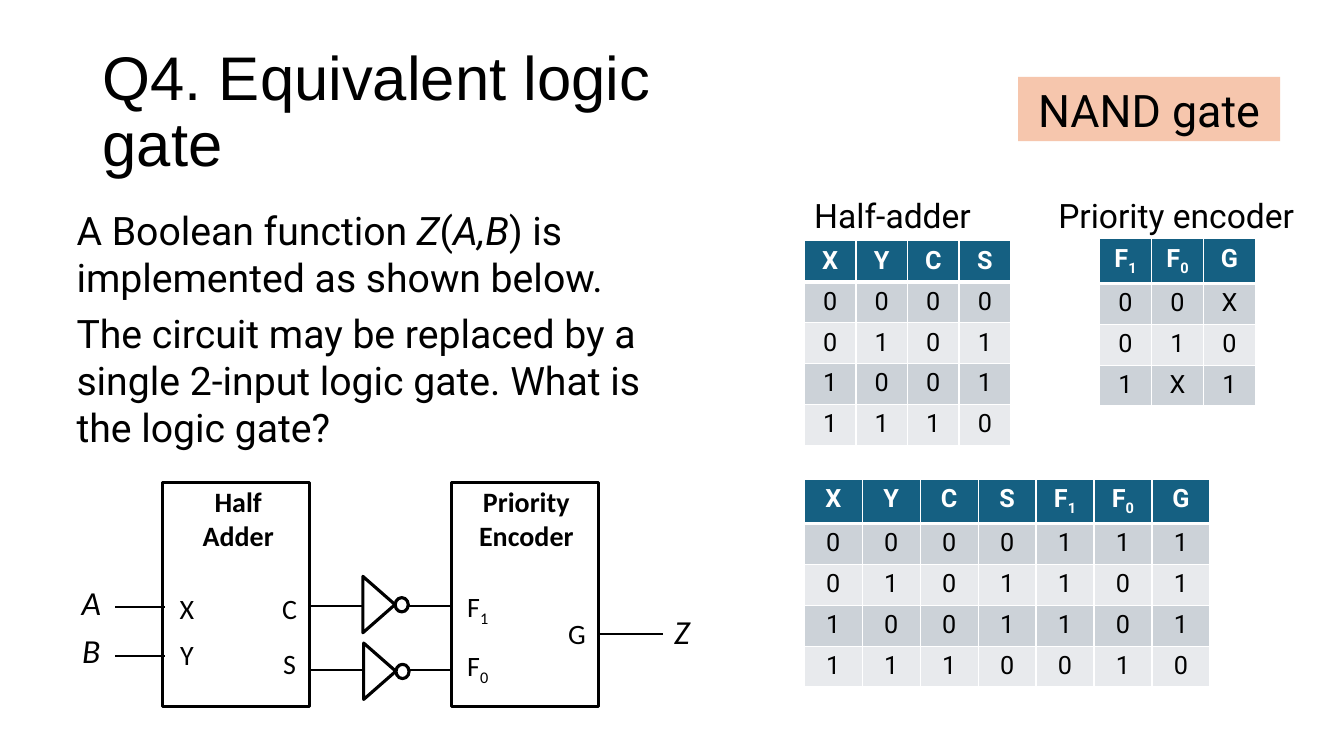
from dataclasses import dataclass

from pptx import Presentation
from pptx.dml.color import RGBColor
from pptx.enum.shapes import MSO_CONNECTOR as Link, MSO_SHAPE as Kind
from pptx.enum.text import MSO_ANCHOR as Anchor, PP_ALIGN as Align
from pptx.oxml import parse_xml
from pptx.oxml.ns import nsdecls
from pptx.util import Cm, Pt


@dataclass(frozen=True)
class Theme:
    ink: str = "000000"
    paper: str = "FFFFFF"
    answer: str = "F6C6AD"
    head: str = "156082"
    bands: tuple = ("CCD2D8", "E8EAED")
    title_font: str = "Arial"
    font: str = "Roboto"
    part_font: str = "Calibri"
    title: int = 44
    big: int = 32
    body: int = 28
    label: int = 24
    pin: int = 20
    cell: int = 18
    edge: float = 2.25
    wire: float = 1.5


T = Theme()

# A paragraph is a string or a list of runs; a run is a string or (text, mark).
F1 = ["F", ("1", "sub")]
F0 = ["F", ("0", "sub")]

QUESTION = [
    ["A Boolean function ", ("Z", "ital"), "(", ("A,B", "ital"),
     ") is implemented as shown below."],
    "The circuit may be replaced by a single 2-input logic gate. "
    "What is the logic gate?",
]
CAPTIONS = [("Half-adder", (20.27, 4.78, 4.72, 1.27)),
            ("Priority encoder", (26.42, 4.78, 6.58, 1.27))]

# left, top, column width, header, rows
TABLES = [
    (20.27, 6.07, 1.3, ["X", "Y", "C", "S"],
     ["0000", "0101", "1001", "1110"]),
    (27.71, 6.02, 1.31, [F1, F0, "G"],
     ["00X", "010", "1X1"]),
    (20.27, 12.07, 1.46, ["X", "Y", "C", "S", F1, F0, "G"],
     ["0000111", "0101101", "1001101", "1110010"]),
]
ROW = 1.03

# Circuit, all in cm
BLOCK_TOP, BLOCK_W, BLOCK_H = 12.17, 3.71, 5.64
ADDER_X, CODER_X = 4.09, 11.38
NAMES = [("Half Adder", (4.24, 12.09, 3.53, 1.9)),
         ("Priority Encoder", (11.13, 12.09, 4.27, 2.77))]
PINS = [  # paragraphs, box, space after in points
    (["X", "Y"], (3.86, 14.78, 1.7, 2.46), 9),
    (["C", "S"], (6.45, 14.78, 1.7, 2.92), 15),
    ([F1, F0], (11, 14.73, 2.08, 2.92), 15),
    (["G"], (13.69, 15.42, 1.7, 1.63), 6),
]
PORTS = [(["A", "B"], (1.4, 14.53, 1.8, 3.1), 6),
         (["Z"], (16.48, 15.27, 1.42, 1.5), 0)]
WIRES = [(2.9, 4.17, 15.29), (2.9, 4.17, 16.54),   # from x, to x, y
         (7.85, 12.09, 15.27), (7.85, 12.09, 16.89),
         (15.09, 16.71, 15.98)]
GATES = [(8.84, 14.83), (8.86, 16.51)]

deck = Presentation()
deck.slide_width, deck.slide_height = Cm(33.87), Cm(19.05)
slide = deck.slides.add_slide(deck.slide_layouts[6])
shapes = slide.shapes


def rgb(code):
    return RGBColor.from_string(code)


def write(frame, paras, size, font=T.font, color=T.ink, bold=False,
          ital=False, align=Align.LEFT, after=0, lead=None):
    """Fill a text frame; after is one gap or a list with one per paragraph."""
    for i, runs in enumerate(paras):
        para = frame.paragraphs[0] if i == 0 else frame.add_paragraph()
        para.alignment = align
        para.space_after = Pt(after[i] if isinstance(after, list) else after)
        if lead:
            para.line_spacing = lead
        for item in [runs] if isinstance(runs, str) else runs:
            words, mark = (item, "") if isinstance(item, str) else item
            run = para.add_run()
            run.text = words
            face = run.font
            face.name, face.size, face.bold = font, Pt(size), bold
            face.italic = ital or mark == "ital"
            face.color.rgb = rgb(color)
            if mark == "sub":
                run._r.get_or_add_rPr().set("baseline", "-25000")


def label(box, paras, size, anchor=Anchor.TOP, **look):
    frame = shapes.add_textbox(*map(Cm, box)).text_frame
    frame.word_wrap = True
    frame.vertical_anchor = anchor
    write(frame, paras, size, **look)


def solid(kind, box, fill=T.paper, edge=True):
    shape = shapes.add_shape(kind, *map(Cm, box))
    shape.shadow.inherit = False
    shape.fill.solid()
    shape.fill.fore_color.rgb = rgb(fill)
    if edge:
        shape.line.color.rgb = rgb(T.ink)
        shape.line.width = Pt(T.edge)
    else:
        shape.line.fill.background()
    return shape


def wire(x1, x2, y):
    line = shapes.add_connector(Link.STRAIGHT, Cm(x1), Cm(y), Cm(x2), Cm(y))
    line.line.color.rgb = rgb(T.ink)
    line.line.width = Pt(T.wire)
    line._element.spPr.append(parse_xml(f"<a:effectLst {nsdecls('a')}/>"))


def invert(x, y):
    """Draw a NOT gate: a triangle pointing right and its bubble."""
    solid(Kind.FLOWCHART_EXTRACT, (x, y, 1.42, 0.81)).rotation = 90
    solid(Kind.OVAL, (x + 1.12, y + 0.23, 0.33, 0.36))


def border(cell, row):
    """Rule the cell in white, thicker under the header row."""
    wide = {"T": 3 if row == 1 else 1, "B": 3 if row == 0 else 1}
    props = cell._tc.get_or_add_tcPr()
    for side in "LRTB":
        props.append(parse_xml(
            f'<a:ln{side} {nsdecls("a")} w="{Pt(wide.get(side, 1))}">'
            f'<a:solidFill><a:srgbClr val="{T.paper}"/></a:solidFill>'
            f'</a:ln{side}>'))


def grid(x, y, col, head, rows):
    data = [head, *rows]
    table = shapes.add_table(len(data), len(head), Cm(x), Cm(y),
                             Cm(col * len(head)), Cm(ROW * len(data))).table
    for column in table.columns:
        column.width = Cm(col)
    for r, values in enumerate(data):
        table.rows[r].height = Cm(ROW)
        for c, value in enumerate(values):
            cell = table.cell(r, c)
            border(cell, r)
            cell.fill.solid()
            cell.fill.fore_color.rgb = rgb(T.bands[(r - 1) % 2] if r else T.head)
            write(cell.text_frame, [value], T.cell, bold=r == 0,
                  color=T.ink if r else T.paper, align=Align.CENTER)


label((2.34, 1.02, 17.6, 3.68), ["Q4. Equivalent logic gate"], T.title,
      anchor=Anchor.MIDDLE, font=T.title_font, lead=0.9)
answer = solid(Kind.RECTANGLE, (25.66, 1.94, 6.6, 1.62), T.answer, edge=False)
write(answer.text_frame, ["NAND gate"], T.big, align=Align.CENTER)
label((1.68, 5.08, 15.88, 6.45), QUESTION, T.body, after=[6, 0])

solid(Kind.RECTANGLE, (ADDER_X, BLOCK_TOP, BLOCK_W, BLOCK_H))
for ends in WIRES:
    wire(*ends)
for spot in GATES:
    invert(*spot)
solid(Kind.RECTANGLE, (CODER_X, BLOCK_TOP, BLOCK_W, BLOCK_H))

part = dict(font=T.part_font, align=Align.CENTER)
for name, box in NAMES:
    label(box, [name], T.pin, bold=True, **part)
for paras, box, gap in PINS:
    label(box, paras, T.pin, after=gap, **part)
for paras, box, gap in PORTS:
    label(box, paras, T.label, after=gap, ital=True, **part)

for words, box in CAPTIONS:
    label(box, [words], T.label)
for table in TABLES:
    grid(*table)

deck.save("out.pptx")
